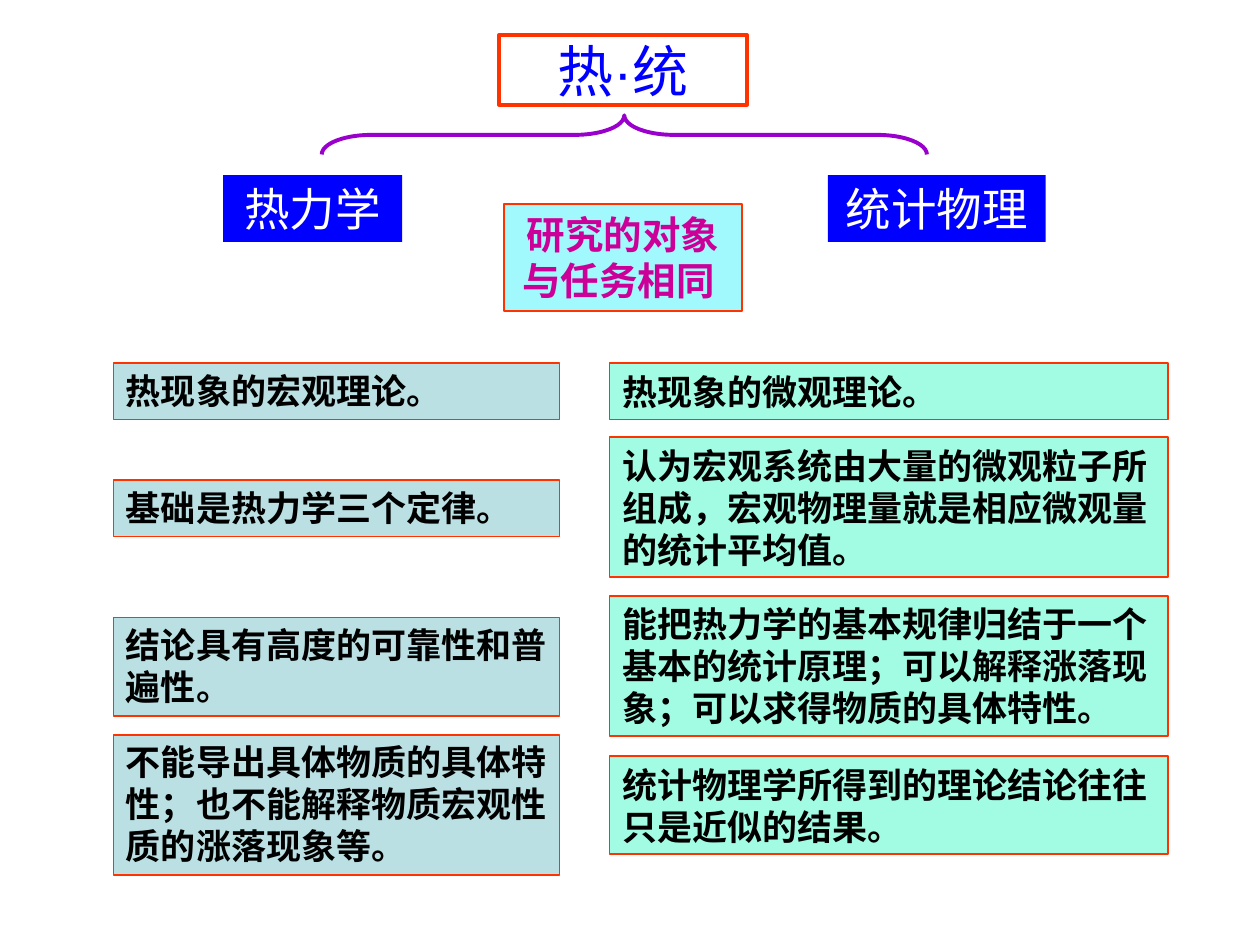
from pptx import Presentation
from pptx.dml.color import RGBColor
from pptx.enum import shapes, text
from pptx.util import Cm, Pt

LATIN = "Times New Roman"
BORDER = "FF3300"
MIDDLE = text.MSO_ANCHOR.MIDDLE
TOP = text.MSO_ANCHOR.TOP

# Each statement: top in cm, number of lines, wording
THERMODYNAMICS = [
    (7.32, 1, "热现象的宏观理论。"),
    (9.68, 1, "基础是热力学三个定律。"),
    (12.45, 2, "结论具有高度的可靠性和普遍性。"),
    (14.81, 3, "不能导出具体物质的具体特性；也不能解释物质宏观性质的涨落现象等。"),
]
STATISTICAL_PHYSICS = [
    (7.32, 1, "热现象的微观理论。"),
    (8.81, 3, "认为宏观系统由大量的微观粒子所组成，宏观物理量就是相应微观量的统计平均值。"),
    (12.01, 3, "能把热力学的基本规律归结于一个基本的统计原理；可以解释涨落现象；可以求得物质的具体特性。"),
    (15.24, 2, "统计物理学所得到的理论结论往往只是近似的结果。"),
]


def color(hex_code):
    return RGBColor.from_string(hex_code)


def set_outline(shape, hex_code, width):
    shape.line.color.rgb = color(hex_code)
    shape.line.width = Pt(width)


def write(shape, words, size, hex_code, font=LATIN, bold=False,
          align=text.PP_ALIGN.CENTER, anchor=MIDDLE):
    frame = shape.text_frame
    frame.word_wrap = True
    frame.vertical_anchor = anchor
    paragraph = frame.paragraphs[0]
    paragraph.text = words
    paragraph.alignment = align
    paragraph.font.name = font
    paragraph.font.size = Pt(size)
    paragraph.font.bold = bold
    paragraph.font.color.rgb = color(hex_code)


def add_box(slide, place, fill, outline=None):
    box = slide.shapes.add_shape(
        shapes.MSO_SHAPE.RECTANGLE, *(Cm(length) for length in place))
    box.shadow.inherit = False
    box.fill.solid()
    box.fill.fore_color.rgb = color(fill)
    box.text_frame.auto_size = text.MSO_AUTO_SIZE.SHAPE_TO_FIT_TEXT
    if outline:
        set_outline(box, outline, 1)
    else:
        box.line.fill.background()
    return box


def add_title(slide):
    title = slide.shapes.title
    title.left, title.top = Cm(10.06), Cm(0.71)
    title.width, title.height = Cm(5), Cm(1.4)
    title.text_frame.auto_size = text.MSO_AUTO_SIZE.NONE
    set_outline(title, BORDER, 2.25)
    write(title, "热·统", 32, "0000FF", font="Arial")


def add_brace(slide):
    """Turn a left brace so that it opens downwards under the title."""
    brace = slide.shapes.add_shape(
        shapes.MSO_SHAPE.LEFT_BRACE, Cm(12.19), Cm(-3.38), Cm(0.79), Cm(12.2))
    brace.rotation = 90
    brace.adjustments[0] = 1.27
    brace.adjustments[1] = 0.5
    brace.shadow.inherit = False
    brace.fill.background()
    set_outline(brace, "9900CC", 2.25)


def add_branch(slide, name, left, width, font):
    branch = add_box(slide, (left, 3.53, width, 1.35), "0000FF")
    write(branch, name, 26, "FFFFFF", font=font, anchor=TOP)


def add_statements(slide, statements, left, width, fill, anchor):
    for top, lines, words in statements:
        height = 0.29 + 0.845 * lines
        box = add_box(slide, (left, top, width, height), fill, BORDER)
        write(box, words, 20, "000000", bold=True,
              align=text.PP_ALIGN.LEFT, anchor=anchor)


def main():
    deck = Presentation()
    deck.slide_width, deck.slide_height = Cm(25.4), Cm(19.05)
    slide = deck.slides.add_slide(deck.slide_layouts.get_by_name("Title Only"))

    add_title(slide)
    add_brace(slide)
    add_branch(slide, "热力学", 4.5, 3.61, "Noto Sans CJK SC")
    add_branch(slide, "统计物理", 16.69, 4.39, LATIN)

    shared_aim = add_box(slide, (10.16, 4.11, 4.8, 2.16), "A1F9FD", BORDER)
    write(shared_aim, "研究的对象与任务相同 ", 22, "CC0099", bold=True)

    add_statements(slide, THERMODYNAMICS, 2.29, 8.99, "BBE0E3", TOP)
    add_statements(slide, STATISTICAL_PHYSICS, 12.29, 11.25, "A2FCE4", MIDDLE)
    deck.save("out.pptx")


if __name__ == "__main__":
    main()
